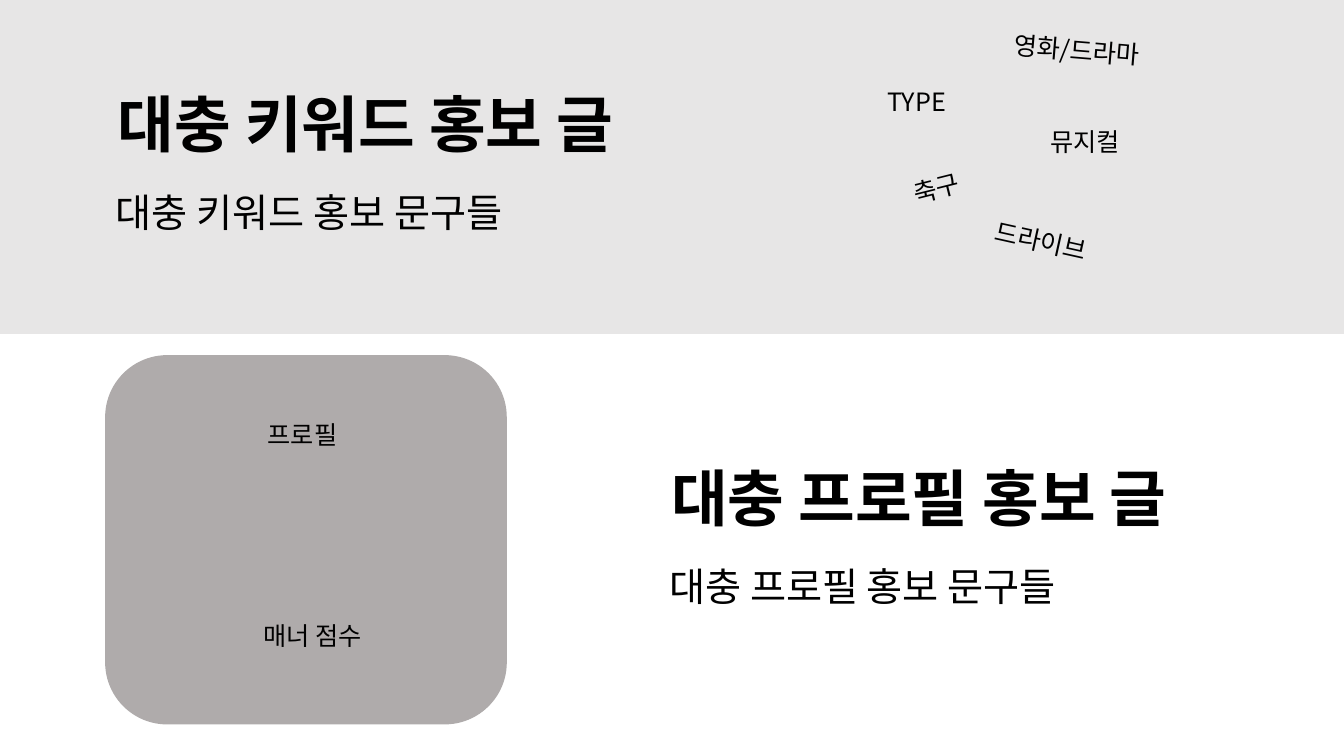
import pptx
import pptx.util
import pptx.dml.color
import pptx.enum.shapes
import pptx.enum.text
import lxml.etree

Inches = pptx.util.Inches
SHAPES = pptx.enum.shapes.MSO_SHAPE
ALIGN = pptx.enum.text.PP_ALIGN
FONT = "Noto Sans CJK KR"
NAMESPACE = "{http://schemas.openxmlformats.org/drawingml/2006/main}"


def color(value):
    return pptx.dml.color.RGBColor.from_string(value)


def apply_format(target, values):
    for name, value in values.items():
        setattr(target, name, value)


def add_panel(shapes, kind, box, fill):
    panel = shapes.add_shape(kind, *map(Inches, box))
    panel.shadow.inherit = False
    panel.fill.solid()
    panel.fill.fore_color.rgb = color(fill)
    panel.line.color.rgb = color(fill)
    panel.line.width = pptx.util.Pt(1)


def add_text(shapes, text, box, size=18, bold=False, align=ALIGN.LEFT, rotation=0):
    label = shapes.add_textbox(*map(Inches, box))
    label.rotation = rotation
    apply_format(label.text_frame, {
        "word_wrap": True,
        "auto_size": pptx.enum.text.MSO_AUTO_SIZE.SHAPE_TO_FIT_TEXT,
    })
    para = label.text_frame.paragraphs[0]
    para.alignment = align
    span = para.add_run()
    span.text = text
    apply_format(span.font, {"name": FONT, "size": pptx.util.Pt(size), "bold": bold})
    span.font.color.rgb = color("000000")
    east_asian = lxml.etree.SubElement(span.font._element, NAMESPACE + "ea")
    east_asian.set("typeface", FONT)


def add_headline(shapes, left, top, topic):
    add_text(shapes, f"대충 {topic} 홍보 글", (left + 0.02, top, 5.86, 0.84), 44, True)
    add_text(shapes, f"대충 {topic} 홍보 문구들", (left, top + 1.02, 5.6, 0.57), 28)


def add_keyword_banner(page, left, top, width, height):
    add_panel(page.shapes, SHAPES.RECTANGLE, (left, top, width, height), "E7E6E6")
    add_headline(page.shapes, left + 1.05, top + 0.8, "키워드")
    keywords = [
        ("TYPE", 8.7, 0.81, 1.05, 0),
        ("영화/드라마", 9.96, 0.3, 1.59, 4.7),
        ("축구", 8.95, 1.62, 1.05, 346),
        ("뮤지컬", 10.32, 1.2, 1.05, 0),
        ("드라이브", 9.76, 2.24, 1.59, 12.6),
    ]
    for word, across, down, wide, angle in keywords:
        add_text(page.shapes, word, (left + across, top + down, wide, 0.4), rotation=angle)


def add_profile_card(page, left, top, width, height):
    card = page.shapes.add_group_shape().shapes
    add_panel(card, SHAPES.ROUNDED_RECTANGLE, (left, top, width, height), "AFABAB")
    for text, across, down in (("프로필", 1.04, 0.58), ("매너 점수", 1.14, 2.57)):
        add_text(card, text, (left + across, top + down, 1.82, 0.4), align=ALIGN.CENTER)


deck = pptx.Presentation()
apply_format(deck, {"slide_width": Inches(13.33), "slide_height": Inches(7.5)})
page = deck.slides.add_slide(deck.slide_layouts[6])
add_keyword_banner(page, 0, 0, 13.33, 3.31)
add_headline(page.shapes, 6.54, 4.51, "프로필")
add_profile_card(page, 1.05, 3.53, 3.97, 3.65)
deck.save("out.pptx")
